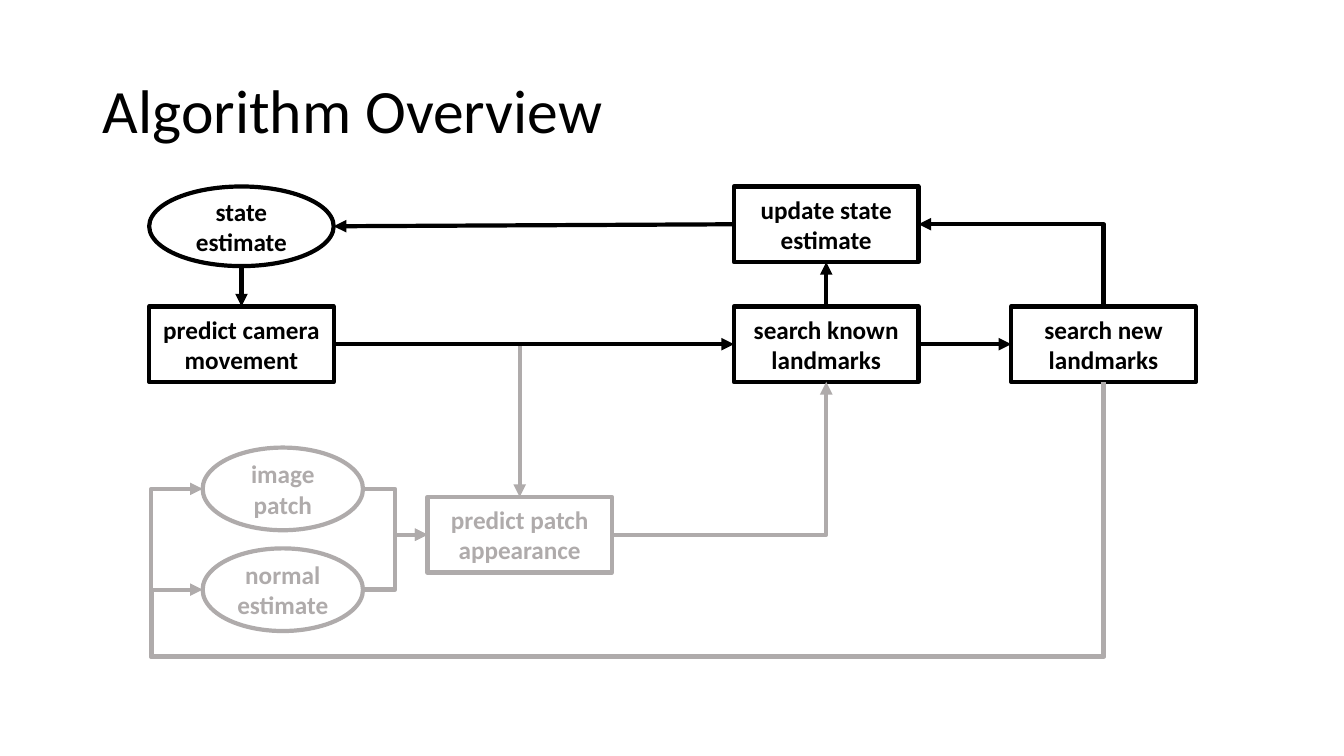
from dataclasses import dataclass
from enum import IntEnum

from lxml.etree import SubElement
from pptx import Presentation
from pptx.dml.color import RGBColor
from pptx.enum.shapes import MSO_CONNECTOR, MSO_SHAPE
from pptx.enum.text import MSO_ANCHOR, MSO_AUTO_SIZE, PP_ALIGN
from pptx.oxml.ns import qn
from pptx.shapes.autoshape import Shape
from pptx.shapes.connector import Connector
from pptx.slide import Slide
from pptx.text.text import TextFrame
from pptx.util import Inches, Pt

BLACK = RGBColor(0x00, 0x00, 0x00)
GREY = RGBColor(0xAF, 0xAB, 0xAB)
FONT = "Calibri"
LINE_WIDTH = Pt(3)
RECT, OVAL = MSO_SHAPE.RECTANGLE, MSO_SHAPE.OVAL
BOX_SIZE = (1.83, 0.75)
STATE_SIZE = (1.83, 0.79)
PATCH_SIZE = (1.59, 0.82)


class Side(IntEnum):
    TOP = 0
    LEFT = 1
    BOTTOM = 2
    RIGHT = 3


@dataclass(frozen=True)
class Node:
    text: str
    left: float
    top: float
    size: tuple[float, float] = BOX_SIZE
    kind: MSO_SHAPE = RECT
    color: RGBColor = BLACK


@dataclass(frozen=True)
class Link:
    source: Node
    source_side: Side
    target: Node
    target_side: Side
    color: RGBColor = BLACK
    bends: str = ""  # preset of an elbow, empty for a straight arrow
    adjust: tuple[int, ...] = ()


STATE = Node("state estimate", 1.48, 1.85, STATE_SIZE, OVAL)
PREDICT = Node("predict camera movement", 1.48, 3.04)
KNOWN = Node("search known landmarks", 7.28, 3.04)
NEW = Node("search new landmarks", 10.03, 3.04)
UPDATE = Node("update state estimate", 7.28, 1.85)
PATCH = Node("image patch", 2.01, 4.44, PATCH_SIZE, OVAL, GREY)
NORMAL = Node("normal estimate", 2.01, 5.44, PATCH_SIZE, OVAL, GREY)
APPEARANCE = Node("predict patch appearance", 4.24, 4.93, color=GREY)
NODES = (STATE, PREDICT, KNOWN, NEW, UPDATE, PATCH, NORMAL, APPEARANCE)

ONE, TWO, THREE = "bentConnector2", "bentConnector3", "bentConnector4"
LINKS = (
    Link(STATE, Side.BOTTOM, PREDICT, Side.TOP),
    Link(UPDATE, Side.LEFT, STATE, Side.RIGHT),
    Link(KNOWN, Side.RIGHT, NEW, Side.LEFT),
    Link(NEW, Side.TOP, UPDATE, Side.RIGHT, bends=ONE),
    Link(KNOWN, Side.TOP, UPDATE, Side.BOTTOM),
    Link(PATCH, Side.RIGHT, APPEARANCE, Side.LEFT, GREY, TWO),
    Link(NORMAL, Side.RIGHT, APPEARANCE, Side.LEFT, GREY, TWO),
    Link(PREDICT, Side.RIGHT, APPEARANCE, Side.TOP, GREY, ONE),
    Link(APPEARANCE, Side.RIGHT, KNOWN, Side.BOTTOM, GREY, ONE),
    Link(NEW, Side.BOTTOM, NORMAL, Side.LEFT, GREY, THREE, (132000, 105600)),
    Link(NEW, Side.BOTTOM, PATCH, Side.LEFT, GREY, THREE, (257400, 105700)),
    Link(PREDICT, Side.RIGHT, KNOWN, Side.LEFT),
)


def set_text(tf: TextFrame, text: str, size: int, color: RGBColor,
             align: PP_ALIGN, bold: bool = False) -> None:
    tf.text = text
    tf.word_wrap = True
    tf.vertical_anchor = MSO_ANCHOR.MIDDLE
    p = tf.paragraphs[0]
    p.alignment = align
    font = p.runs[0].font
    font.name, font.size, font.bold = FONT, Pt(size), bold
    font.color.rgb = color


def add_title(slide: Slide, text: str) -> None:
    title = slide.shapes.title
    title.left, title.top = Inches(0.92), Inches(0.4)
    title.width, title.height = Inches(11.5), Inches(1.45)
    set_text(title.text_frame, text, 44, BLACK, PP_ALIGN.LEFT)
    title.text_frame.auto_size = MSO_AUTO_SIZE.NONE
    title.text_frame.paragraphs[0].line_spacing = 0.9


def add_node(slide: Slide, node: Node) -> Shape:
    box = (Inches(v) for v in (node.left, node.top, *node.size))
    sp = slide.shapes.add_shape(node.kind, *box)
    sp.shadow.inherit = False
    sp.fill.background()
    sp.line.color.rgb = node.color
    sp.line.width = LINE_WIDTH
    set_text(sp.text_frame, node.text, 18, node.color, PP_ALIGN.CENTER, True)
    return sp


def bend(cxn: Connector, link: Link) -> None:
    """Give an elbow its preset, and turn it if it leaves vertically."""
    geometry = cxn.element.spPr.find(qn("a:prstGeom"))
    geometry.set("prst", link.bends)
    for i, value in enumerate(link.adjust, start=1):
        SubElement(geometry.find(qn("a:avLst")), qn("a:gd"),
                   name=f"adj{i}", fmla=f"val {value}")
    if link.source_side in (Side.LEFT, Side.RIGHT):
        return
    # The turned frame keeps its centre and swaps width and height
    width, height = cxn.height, cxn.width
    cxn.left += (height - width) // 2
    cxn.top += (width - height) // 2
    cxn.width, cxn.height = width, height
    upward = link.source_side == Side.TOP
    xfrm = cxn.element.spPr.find(qn("a:xfrm"))
    xfrm.set("rot", str((270 if upward else 90) * 60000))
    xfrm.set("flipH", "0")
    xfrm.set("flipV", "1" if upward else "0")


def add_link(slide: Slide, link: Link, shapes: dict[Node, Shape]) -> None:
    kind = MSO_CONNECTOR.ELBOW if link.bends else MSO_CONNECTOR.STRAIGHT
    cxn = slide.shapes.add_connector(kind, 0, 0, 0, 0)
    cxn.begin_connect(shapes[link.source], link.source_side.value)
    cxn.end_connect(shapes[link.target], link.target_side.value)
    # An ellipse has eight connection sites, so its sides are every second one
    for tag, node, side in (("a:stCxn", link.source, link.source_side),
                            ("a:endCxn", link.target, link.target_side)):
        if node.kind == OVAL:
            cxn.element.find(f".//{qn(tag)}").set("idx", str(2 * side.value))
    if link.bends:
        bend(cxn, link)
    cxn.line.color.rgb = link.color
    cxn.line.width = LINE_WIDTH
    SubElement(cxn.line._get_or_add_ln(), qn("a:tailEnd"), type="triangle")
    SubElement(cxn.element.spPr, qn("a:effectLst"))


def main() -> None:
    prs = Presentation()
    prs.slide_width, prs.slide_height = Inches(13.33), Inches(7.5)
    slide = prs.slides.add_slide(prs.slide_layouts[5])

    # Title
    add_title(slide, "Algorithm Overview")

    # Flow chart
    shapes = {node: add_node(slide, node) for node in NODES}
    for link in LINKS:
        add_link(slide, link, shapes)

    prs.save("out.pptx")


if __name__ == "__main__":
    main()
